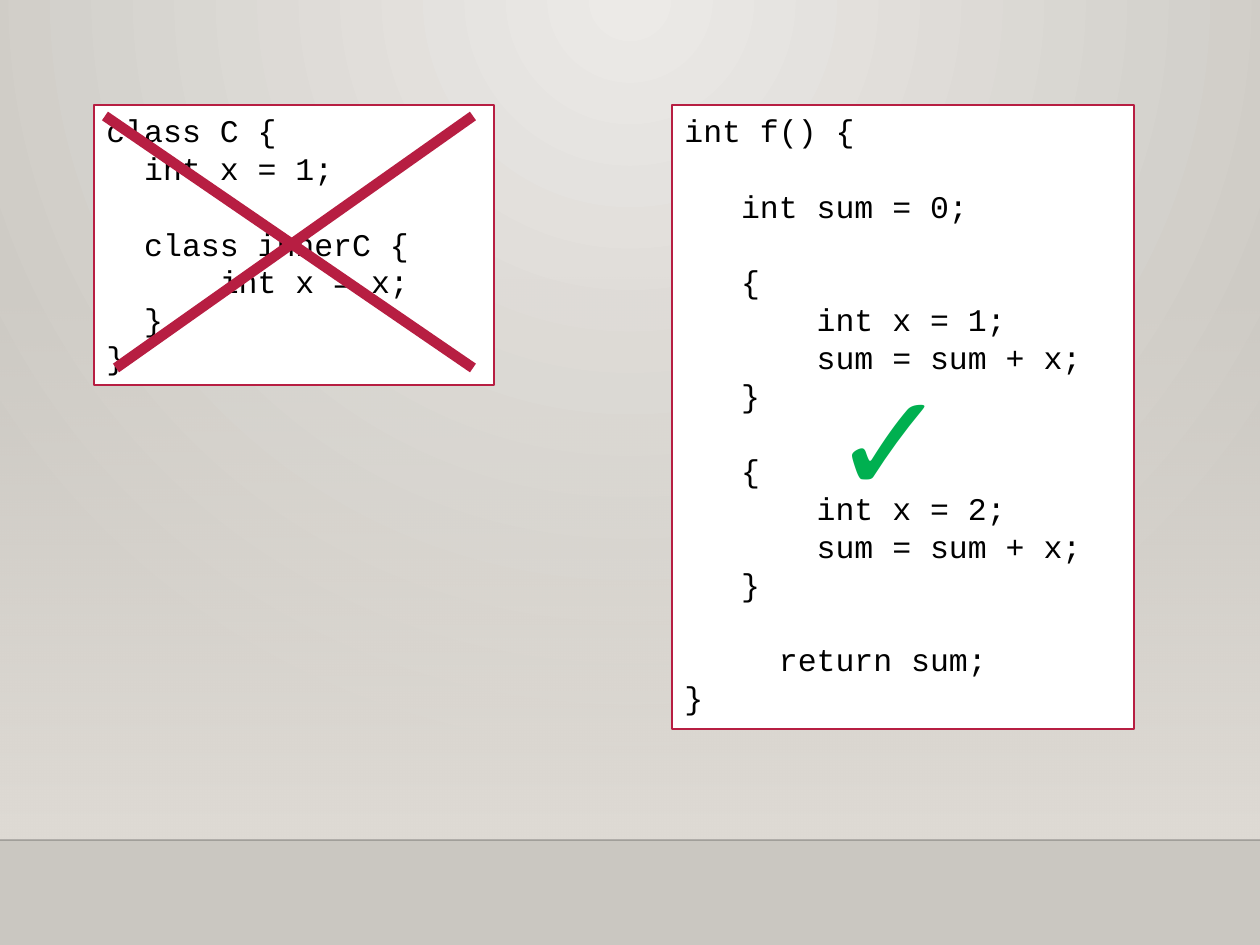
from lxml import etree
from pptx import Presentation
from pptx.dml.color import RGBColor
from pptx.enum.shapes import MSO_CONNECTOR, MSO_SHAPE
from pptx.enum.text import MSO_ANCHOR, PP_ALIGN
from pptx.oxml.ns import qn
from pptx.util import Emu, Pt

RECT = MSO_SHAPE.RECTANGLE
STRAIGHT = MSO_CONNECTOR.STRAIGHT
TOP = MSO_ANCHOR.TOP
LEFT = PP_ALIGN.LEFT
PX = 914400 // 126
WIDTH, HEIGHT = 1260, 945
COLORS = {
    "glow": "ECEAE7", "floor": "CAC7C1", "haze": "DFDBD5", "edge": "000001",
    "paper": "FFFFFF", "accent": "B71E42", "ink": "000000", "good": "00B050",
}

INNER_CLASS = """class C {
  int x = 1;
  
  class innerC {
      int x = x;
  }
}"""

BLOCKS = """int f() {
   
   int sum = 0;
   
   {
       int x = 1;
       sum = sum + x;
   }
   
   {
       int x = 2;
       sum = sum + x;
   }
   
     return sum;
}"""


class Board:
    """Draws styled elements on one slide, measured in pixels."""

    def __init__(self, s):
        self.s = s

    def rgb(self, name):
        return RGBColor.from_string(COLORS[name])

    def box(self, *lengths):
        return [Emu(n * PX) for n in lengths]

    def alpha(self, color, percent):
        etree.SubElement(color, qn("a:alpha"), val=str(percent * 1000))

    def gradient(self, fill, names):
        fill.gradient()
        for stop, name in zip(fill.gradient_stops, names):
            stop.color.rgb = self.rgb(name)

    def backdrop(self):
        self.gradient(self.s.background.fill, ("glow", "floor"))
        grad = self.s.element.find(".//" + qn("a:gradFill"))
        grad.remove(grad.find(qn("a:lin")))
        circle = etree.SubElement(grad, qn("a:path"), path="circle")
        etree.SubElement(circle, qn("a:fillToRect"),
                         l="43000", t="0", r="43000", b="100000")

    def rect(self, *at):
        sp = self.s.shapes.add_shape(RECT, *self.box(*at))
        sp.shadow.inherit = False
        return sp

    def haze(self, *at):
        sp = self.rect(*at)
        sp.line.fill.background()
        self.gradient(sp.fill, ("haze", "haze"))
        sp.fill.gradient_angle = 270
        self.alpha(next(sp.element.spPr.iter(qn("a:srgbClr"))), 0)

    def line(self, ends, color, width, opacity=100):
        c = self.s.shapes.add_connector(STRAIGHT, *self.box(*ends))
        c.line.color.rgb = self.rgb(color)
        c.line.width = Pt(width)
        spPr = c.element.spPr
        if opacity < 100:
            self.alpha(next(spPr.iter(qn("a:srgbClr"))), opacity)
        etree.SubElement(spPr, qn("a:effectLst"))

    def text(self, tf, text, color, wrap, **font):
        for key, value in {"word_wrap": wrap, "vertical_anchor": TOP}.items():
            setattr(tf, key, value)
        for i, row in enumerate(text.split("\n")):
            p = tf.paragraphs[0] if i == 0 else tf.add_paragraph()
            p.alignment = LEFT
            r = p.add_run()
            r.text = row
            r.font.color.rgb = self.rgb(color)
            for key, value in font.items():
                setattr(r.font, key, value)

    def code(self, at, text):
        sp = self.rect(*at)
        sp.fill.solid()
        sp.fill.fore_color.rgb = self.rgb("paper")
        sp.line.color.rgb = self.rgb("accent")
        sp.line.width = Pt(0.75)
        self.text(sp.text_frame, text, "ink", True,
                  name="Courier New", size=Pt(18))

    def mark(self, at, text):
        sp = self.s.shapes.add_textbox(*self.box(*at))
        self.text(sp.text_frame, text, "good", False,
                  name="Calibri", size=Pt(80))


prs = Presentation()
prs.slide_width, prs.slide_height = Emu(WIDTH * PX), Emu(HEIGHT * PX)
board = Board(prs.slides.add_slide(prs.slide_layouts[6]))

board.backdrop()
board.haze(0, 277, WIDTH, 563)
board.line((0, 840, WIDTH, 840), "edge", 1, 20)
board.code((94, 105, 400, 280), INNER_CLASS)
board.code((672, 105, 462, 624), BLOCKS)
for ends in ((105, 116, 473, 368), (116, 368, 473, 116)):
    board.line(ends, "accent", 6)
board.mark((819, 347, 136, 183), "\u2713")

prs.save("out.pptx")
